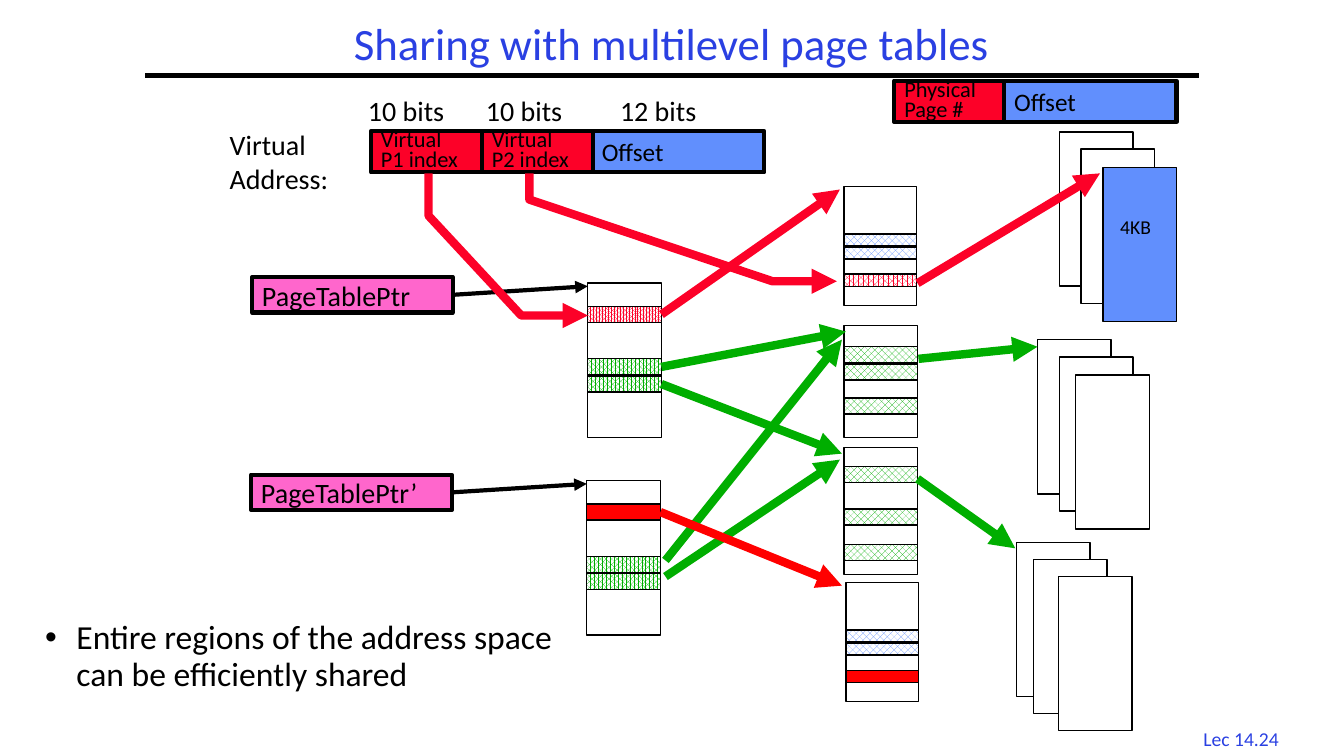
from lxml import etree
from pptx import Presentation
from pptx.dml.color import RGBColor
from pptx.enum.dml import MSO_PATTERN
from pptx.enum.shapes import MSO_CONNECTOR, MSO_SHAPE
from pptx.enum.text import MSO_ANCHOR, PP_ALIGN
from pptx.oxml.ns import qn
from pptx.util import Inches, Pt

RECTANGLE = MSO_SHAPE.RECTANGLE
STRAIGHT = MSO_CONNECTOR.STRAIGHT
LEFT, CENTER = PP_ALIGN.LEFT, PP_ALIGN.CENTER
TOP, MIDDLE = MSO_ANCHOR.TOP, MSO_ANCHOR.MIDDLE
PCT50, PCT70 = MSO_PATTERN.PERCENT_50, MSO_PATTERN.PERCENT_70
PCT75, PCT80 = MSO_PATTERN.PERCENT_75, MSO_PATTERN.PERCENT_80
RIGHT_SIDE = 3
FONT = "Calibri"
COLORS = {
    "black": "000000", "white": "FFFFFF", "title": "2A40E2", "blue": "618FFD",
    "crimson": "FC0128", "red": "FF0000", "green": "00AE00", "pink": "FF66CC",
}
PAGE_W, PAGE_H = 0.73, 1.53


def rgb(name):
    return RGBColor.from_string(COLORS[name])


def write(shape, lines, size, color="black", align=LEFT, spacing=1.0,
          anchor=TOP, wrap=False, inset=(0.1, 0.05)):
    frame = shape.text_frame
    frame.word_wrap = wrap
    frame.vertical_anchor = anchor
    frame.margin_left = frame.margin_right = Inches(inset[0])
    frame.margin_top = frame.margin_bottom = Inches(inset[1])
    for i, line in enumerate(lines):
        paragraph = frame.add_paragraph() if i else frame.paragraphs[0]
        paragraph.alignment = align
        paragraph.line_spacing = spacing
        run = paragraph.add_run()
        run.text = line
        run.font.name = FONT
        run.font.size = Pt(size)
        run.font.color.rgb = rgb(color)
    return frame


def label(slide, x, y, w, h, lines, size, **style):
    box = slide.shapes.add_textbox(Inches(x), Inches(y), Inches(w), Inches(h))
    return write(box, lines, size, **style)


def block(slide, x, y, w, h, color=None, pattern=None, weight=1):
    rect = slide.shapes.add_shape(RECTANGLE, Inches(x), Inches(y), Inches(w), Inches(h))
    rect.shadow.inherit = False
    rect.line.color.rgb = rgb("black")
    rect.line.width = Pt(weight)
    if pattern:
        rect.fill.patterned()
        rect.fill.pattern = pattern
        rect.fill.fore_color.rgb = rgb(color)
        rect.fill.back_color.rgb = rgb("white")
    elif color:
        rect.fill.solid()
        rect.fill.fore_color.rgb = rgb(color)
    else:
        rect.fill.background()
    return rect


def field(slide, x, y, w, h, lines, size, color, spacing=1.0):
    rect = block(slide, x, y, w, h, color, weight=3)
    write(rect, lines, size, spacing=spacing, anchor=MIDDLE)
    return rect


def page_table(slide, x, y, w, h, entry_h, entries):
    """Draw a table outline and its entries, given as (offset, color, pattern)."""
    block(slide, x, y, w, h)
    return [block(slide, x, y + offset, w, entry_h, color, pattern)
            for offset, color, pattern in entries]


def page_stack(slide, corners, top_color="white"):
    for i, (x, y) in enumerate(corners):
        is_top = i == len(corners) - 1
        block(slide, x, y, PAGE_W, PAGE_H, top_color if is_top else "white")


def add_arrowhead(shape):
    outline = shape._element.spPr.get_or_add_ln()
    etree.SubElement(outline, qn("a:tailEnd"), type="triangle")


def connect(slide, start, end, color, weight=6, arrow=True):
    """Start is either a point or a rectangle left from the middle of its right side."""
    joined = not isinstance(start, tuple)
    x, y = (0, 0) if joined else start
    link = slide.shapes.add_connector(
        STRAIGHT, Inches(x), Inches(y), Inches(end[0]), Inches(end[1]))
    if joined:
        link.begin_connect(start, RIGHT_SIDE)
    link.line.color.rgb = rgb(color)
    link.line.width = Pt(weight)
    if arrow:
        add_arrowhead(link)
    etree.SubElement(link._element.spPr, qn("a:effectLst"))


def bent_arrow(slide, points, color):
    corners = [(Inches(x), Inches(y)) for x, y in points]
    builder = slide.shapes.build_freeform(*corners[0])
    builder.add_line_segments(corners[1:], close=False)
    route = builder.convert_to_shape()
    route.shadow.inherit = False
    route.fill.background()
    route.line.color.rgb = rgb(color)
    route.line.width = Pt(6)
    add_arrowhead(route)


def add_heading(slide):
    label(slide, 11.77, 7.16, 1.08, 0.33, ["Lec 14.24"], 14, color="title", align=CENTER)
    connect(slide, (1.44, 0.75), (11.89, 0.75), "black", 3, arrow=False)
    label(slide, 1.44, 0.17, 10.44, 0.58, ["Sharing with multilevel page tables"], 32,
          color="title", align=CENTER, spacing=0.9, anchor=MIDDLE, wrap=True)


def add_takeaway(slide):
    frame = label(slide, 0.35, 6.11, 5.43, 0.96,
                  ["Entire regions of the address space can be efficiently shared"],
                  24, spacing=0.9, wrap=True)
    props = frame.paragraphs[0]._p.get_or_add_pPr()
    props.set("marL", str(Inches(0.31)))
    props.set("indent", str(-Inches(0.31)))
    etree.SubElement(props, qn("a:buFont"), typeface="Arial")
    etree.SubElement(props, qn("a:buChar"), char="•")


def add_addresses(slide):
    # Physical address
    field(slide, 9.96, 0.8, 1.71, 0.41, ["Offset"], 18, "blue")
    field(slide, 8.87, 0.8, 1.09, 0.41, ["Physical", "Page #"], 16, "crimson", 0.75)
    # Virtual address
    for x, bits in ((3.58, "10 bits"), (4.75, "10 bits"), (6.08, "12 bits")):
        label(slide, x, 0.94, 0.97, 0.36, [bits], 20, spacing=0.9, inset=(0.07, 0.03))
    label(slide, 2.18, 1.22, 1.31, 0.77, ["Virtual", "Address:"], 20)
    field(slide, 5.87, 1.3, 1.71, 0.41, ["Offset"], 18, "blue")
    for x, index in ((4.78, "P2 index"), (3.68, "P1 index")):
        field(slide, x, 1.3, 1.1, 0.41, ["Virtual", index], 16, "crimson", 0.75)


def add_pages(slide):
    page_stack(slide, [(10.51, 1.31), (10.72, 1.48), (10.94, 1.66)], "blue")
    page_stack(slide, [(10.29, 3.37), (10.51, 3.54), (10.67, 3.72)])
    page_stack(slide, [(10.08, 5.38), (10.25, 5.55), (10.5, 5.72)])
    label(slide, 11.04, 2.13, 0.51, 0.27, ["4KB"], 14, spacing=0.9, inset=(0.07, 0.03))


def add_root_table(slide, x, y, name, private_pattern, private_color):
    entries = page_table(slide, x, y, PAGE_W, PAGE_H, 0.16, [
        (0.23, private_color, private_pattern),
        (0.75, "green", PCT75), (0.92, "green", PCT75)])
    pointer = field(slide, x - 3.33, y - 0.06, 1.99, 0.35, [name], 20, "pink")
    connect(slide, pointer, (x, y + 0.03), "black", 3)
    return entries


def add_second_level_tables(slide):
    # Private tables, one for each process
    for x, y, color, pattern in ((8.37, 1.85, "crimson", PCT70), (8.39, 5.78, "red", None)):
        page_table(slide, x, y, 0.72, 1.18, 0.12, [
            (0.47, "blue", PCT50), (0.6, "blue", PCT50), (0.87, color, pattern)])
    # Shared tables
    for y, h, offsets in ((3.23, 1.11, (0.21, 0.38, 0.72)), (4.44, 1.26, (0.19, 0.61, 0.96))):
        page_table(slide, 8.37, y, PAGE_W, h, 0.16,
                   [(offset, "green", PCT50) for offset in offsets])


def main():
    deck = Presentation()
    deck.slide_width, deck.slide_height = Inches(13.33), Inches(7.5)
    slide = deck.slides.add_slide(deck.slide_layouts[6])

    add_heading(slide)
    add_takeaway(slide)
    add_addresses(slide)
    add_pages(slide)
    private, shared_1, shared_2 = add_root_table(
        slide, 5.83, 2.81, "PageTablePtr", PCT80, "crimson")
    other_private, _, _ = add_root_table(slide, 5.82, 4.77, "PageTablePtr’", None, "red")
    add_second_level_tables(slide)

    # First process: root table to second level
    connect(slide, private, (8.33, 1.88), "crimson")
    connect(slide, shared_1, (8.39, 3.29), "green")
    connect(slide, shared_2, (8.35, 4.5), "green")
    # Virtual indexes to table entries
    bent_arrow(slide, [(4.25, 1.72), (4.25, 2.14), (5.17, 3.13), (5.83, 3.13)], "crimson")
    bent_arrow(slide, [(5.25, 1.72), (5.25, 1.98), (7.66, 2.79), (8.3, 2.79)], "crimson")
    # Second process: root table to second level
    connect(slide, (6.6, 5.72), (8.33, 4.56), "green")
    connect(slide, (6.6, 5.56), (8.35, 3.37), "green")
    connect(slide, other_private, (8.35, 5.81), "red")
    # Second level to pages
    connect(slide, (9.1, 2.81), (10.91, 1.72), "crimson")
    connect(slide, (9.11, 3.56), (10.29, 3.44), "green")
    connect(slide, (9.1, 4.75), (10.07, 5.44), "green")

    deck.save("out.pptx")


if __name__ == "__main__":
    main()
